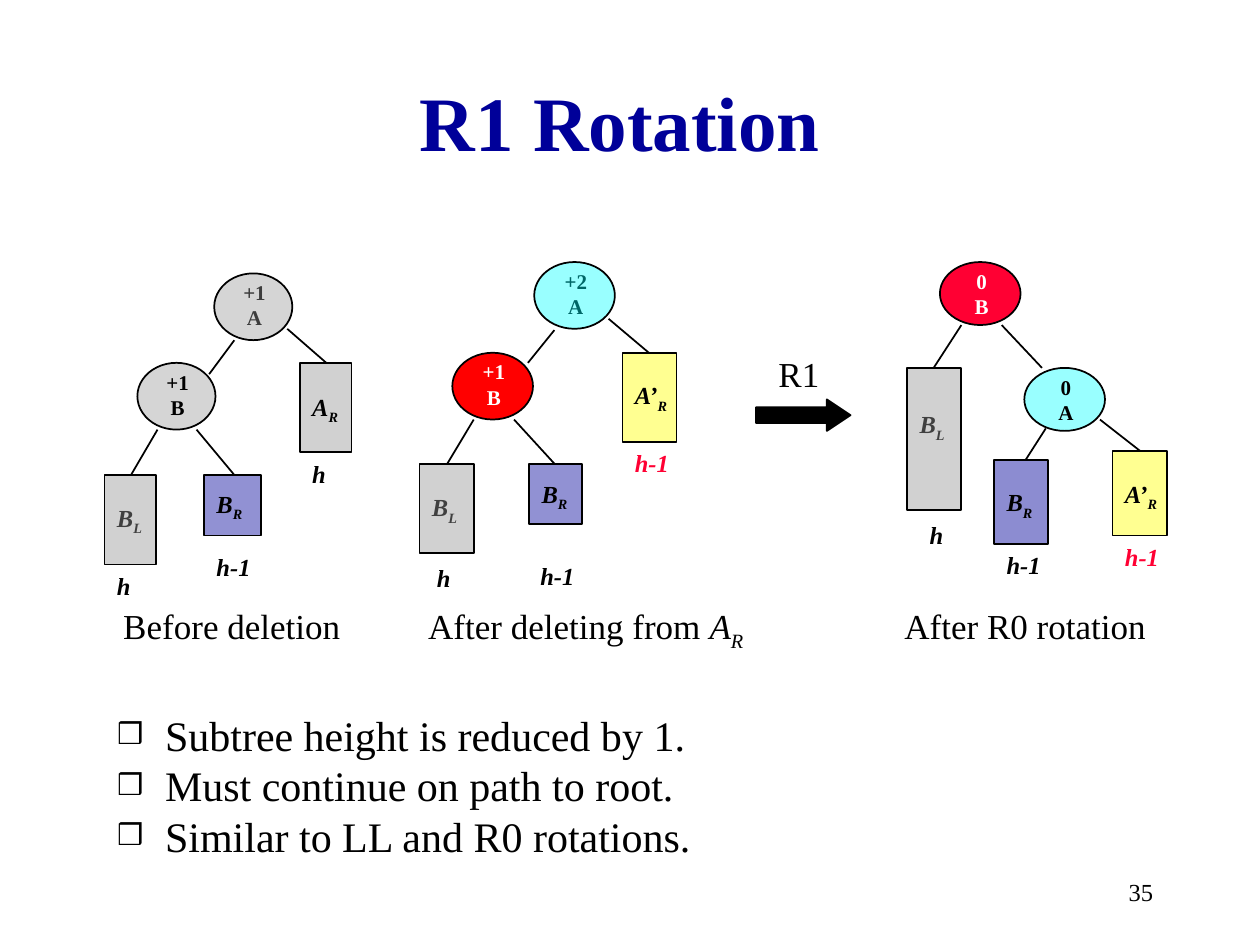
import pptx
import pptx.dml.color
import pptx.enum.shapes
import pptx.enum.text
import pptx.util
from lxml import etree
from pptx.oxml.ns import qn

Inches, Pt = pptx.util.Inches, pptx.util.Pt
SHAPE = pptx.enum.shapes.MSO_SHAPE
ALIGN = pptx.enum.text.PP_ALIGN
ANCHOR = pptx.enum.text.MSO_ANCHOR
FONT = "Times New Roman"
BLACK, WHITE, RED, CRIMSON = "000000", "FFFFFF", "FF0000", "FF0033"
GREY, NAVY, CYAN, YELLOW = "969696", "000099", "00FFFF", "FFFF00"


def rgb(code):
    return pptx.dml.color.RGBColor.from_string(code)


def add_text(left, top, width, height, spans, size, colour=BLACK, bold=False, italic=False):
    """Add a one-paragraph text box; _ starts a subscript and \\n is a line break."""
    box = page.shapes.add_textbox(Inches(left), Inches(top), Inches(width), Inches(height))
    box.text_frame.word_wrap = True
    para = box.text_frame.paragraphs[0]
    para.font.name, para.font.size = FONT, Pt(size)
    para.font.bold, para.font.italic = bold, italic
    para.font.color.rgb = rgb(colour)
    for text in spans:
        if text == "\n":
            para.add_line_break()
            continue
        span = para.add_run()
        span.text = text.removeprefix("_")
        if text.startswith("_"):
            span.font._element.set("baseline", "-25000")
    return box


deck = pptx.Presentation()
deck.slide_width, deck.slide_height = Inches(10), Inches(7.5)
page = deck.slides.add_slide(deck.slide_layouts[1])

# Title and list
title, body = page.placeholders[0], page.placeholders[1]
title.left, title.top, title.width, title.height = map(Inches, (0.67, 0.33, 8.5, 1.25))
title.text_frame.text = "R1 Rotation"
title.text_frame.vertical_anchor = ANCHOR.MIDDLE
heading = title.text_frame.paragraphs[0]
heading.alignment = ALIGN.CENTER
heading.font.name, heading.font.size, heading.font.bold = FONT, Pt(44), True
heading.font.color.rgb = rgb(NAVY)

body.left, body.top, body.width, body.height = map(Inches, (0.83, 5.58, 8.5, 1.42))
body.text_frame.text = "\n".join([
    "Subtree height is reduced by 1.",
    "Must continue on path to root.",
    "Similar to LL and R0 rotations.",
])
for frame in (title.text_frame, body.text_frame):
    frame.auto_size = pptx.enum.text.MSO_AUTO_SIZE.NONE
for para in body.text_frame.paragraphs:
    para.font.name, para.font.size = FONT, Pt(24)
    para.font.color.rgb = rgb(BLACK)
    para.space_before = Pt(0)
    properties = para._p.get_or_add_pPr()
    properties.set("marL", str(Inches(0.38)))
    properties.set("indent", str(-Inches(0.38)))
    bullet_colour = etree.Element(qn("a:buClr"))
    etree.SubElement(bullet_colour, qn("a:srgbClr"), val=BLACK)
    bullet_size = etree.Element(qn("a:buSzPct"), val="70000")
    bullet_sign = etree.Element(qn("a:buChar"), char="❒")
    place = properties.index(properties.find(qn("a:spcBef"))) + 1
    properties[place:place] = [bullet_colour, bullet_size, bullet_sign]

# Tree nodes: left, top, width, height, fill, opacity %, balance, name, text colour, text lies behind
nodes = [
    (1.70, 2.17, 0.62, 0.53, GREY, 40, "+1", "A", BLACK, True),
    (1.09, 2.88, 0.62, 0.53, GREY, 40, "+1", "B", BLACK, False),
    (4.24, 2.08, 0.64, 0.53, CYAN, 40, "+2", "A", BLACK, True),
    (3.59, 2.80, 0.64, 0.53, RED, 100, "+1", "B", WHITE, False),
    (7.46, 2.08, 0.64, 0.50, CRIMSON, 100, "0", "B", WHITE, False),
    (8.13, 2.92, 0.64, 0.50, CYAN, 40, "0", "A", BLACK, False),
]
# Subtrees: left, top, width, height, fill, opacity %, top of text, text, text lies behind
subtrees = [
    (0.83, 3.77, 0.41, 0.71, GREY, 43, 3.94, ("B", "_L"), True),
    (1.62, 3.77, 0.45, 0.48, NAVY, 43, 3.83, ("B", "_R"), False),
    (2.38, 2.88, 0.41, 0.71, GREY, 43, 3.06, ("A", "_R"), False),
    (3.33, 3.68, 0.43, 0.71, GREY, 43, 3.86, ("B", "_L"), True),
    (4.20, 3.68, 0.42, 0.48, NAVY, 43, 3.75, ("B", "_R"), False),
    (4.94, 2.80, 0.43, 0.71, YELLOW, 43, 2.97, ("A’", "_R"), False),
    (7.20, 2.92, 0.43, 1.13, GREY, 43, 3.20, ("B", "_L"), True),
    (7.89, 3.65, 0.43, 0.67, NAVY, 45, 3.82, ("B", "_R"), False),
    (8.83, 3.58, 0.43, 0.67, YELLOW, 43, 3.75, ("A’", "_R"), False),
]
outlines = [(SHAPE.OVAL, *node[:6]) for node in nodes]
outlines += [(SHAPE.RECTANGLE, *subtree[:6]) for subtree in subtrees]
outlines.append((SHAPE.RIGHT_ARROW, 6, 3.17, 0.75, 0.25, BLACK, 100))
drawn = []
for kind, left, top, width, height, fill, opacity in outlines:
    shape = page.shapes.add_shape(kind, Inches(left), Inches(top), Inches(width), Inches(height))
    shape.shadow.inherit = False
    shape.fill.solid()
    shape.fill.fore_color.rgb = rgb(fill)
    shape.line.color.rgb = rgb(BLACK)
    shape.line.width = Pt(1)
    if opacity < 100:
        colour = shape._element.spPr.find(qn("a:solidFill"))[0]
        etree.SubElement(colour, qn("a:alpha"), val=str(opacity * 1000))
    drawn.append(shape)
drawn[-1].adjustments[1] = 0.75

labels = []
for left, top, width, height, fill, opacity, balance, name, colour, behind in nodes:
    box = add_text(left + 0.06, top, width - 0.1, 0.5, [balance, "\n", name], 12, colour, bold=True)
    box.text_frame.paragraphs[0].alignment = ALIGN.CENTER
    labels.append((box, behind))
for left, top, width, height, fill, opacity, text_top, spans, behind in subtrees:
    box = add_text(left, text_top, 0.64, 0.33, spans, 14, bold=True, italic=True)
    labels.append((box, behind))
for shape, (box, behind) in zip(drawn, labels):
    if behind:
        shape._element.addprevious(box._element)

# Subtree heights
for left, top, text, colour in [
    (0.83, 4.48, "h", BLACK), (1.62, 4.33, "h-1", BLACK), (2.38, 3.59, "h", BLACK),
    (3.37, 4.42, "h", BLACK), (4.19, 4.40, "h-1", BLACK), (4.94, 3.51, "h-1", CRIMSON),
    (7.28, 4.08, "h", BLACK), (7.89, 4.32, "h-1", BLACK), (8.83, 4.25, "h-1", CRIMSON),
]:
    add_text(left, top, 0.64, 0.33, [text], 14, colour, bold=True, italic=True)

# Tree edges: from x, y to x, y
for ends in [
    (1.86, 2.70, 1.66, 2.97), (2.28, 2.61, 2.59, 2.88),
    (1.25, 3.41, 1.04, 3.77), (1.56, 3.41, 1.86, 3.77),
    (4.40, 2.62, 4.19, 2.88), (4.83, 2.53, 5.15, 2.80),
    (3.76, 3.33, 3.55, 3.68), (4.08, 3.33, 4.40, 3.68),
    (7.63, 2.58, 7.41, 2.92), (7.95, 2.58, 8.27, 2.92),
    (8.30, 3.40, 8.14, 3.65), (8.73, 3.33, 9.05, 3.58),
]:
    edge = page.shapes.add_connector(
        pptx.enum.shapes.MSO_CONNECTOR.STRAIGHT, *map(Inches, ends))
    edge.line.color.rgb = rgb(BLACK)
    edge.line.width = Pt(1)
    etree.SubElement(edge._element.spPr, qn("a:effectLst"))

# Captions and page number
add_text(6.08, 2.75, 0.58, 0.43, ["R1"], 20)
add_text(0.88, 4.75, 2, 0.43, ["Before deletion"], 20)
deleting = add_text(3.3, 4.75, 2.83, 0.43, ["After deleting from ", "A", "_R"], 20)
for span in deleting.text_frame.paragraphs[0].runs[1:]:
    span.font.italic = True
add_text(7.08, 4.75, 2.33, 0.43, ["After R0 rotation"], 20)
number = add_text(7.17, 6.83, 2.08, 0.5, ["35"], 14)
number.text_frame.vertical_anchor = ANCHOR.MIDDLE
number.text_frame.paragraphs[0].alignment = ALIGN.RIGHT

deck.save("out.pptx")
